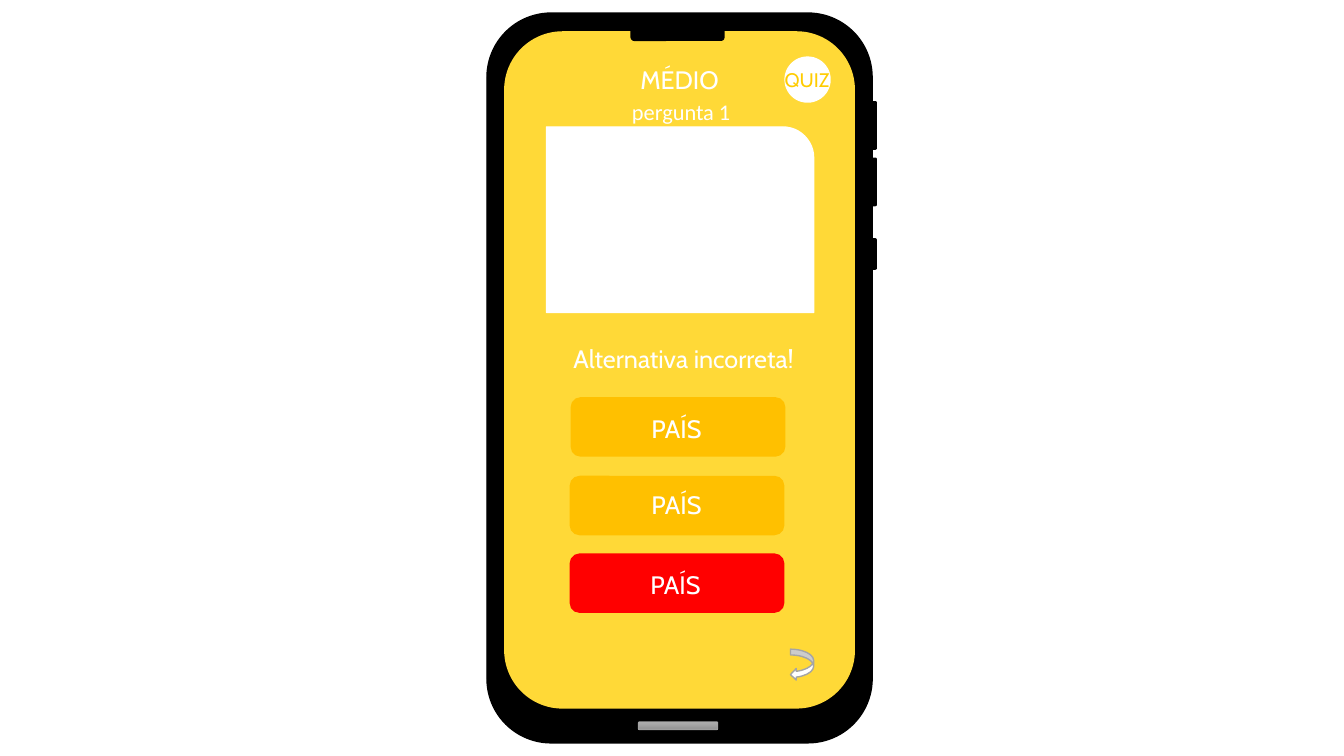
"""Build a quiz app phone screen showing an incorrect answer."""
from pptx import Presentation
from pptx.dml.color import RGBColor
from pptx.enum.shapes import MSO_SHAPE
from pptx.enum.text import MSO_AUTO_SIZE, PP_ALIGN
from pptx.util import Inches, Pt

BLACK = RGBColor(0x00, 0x00, 0x00)
WHITE = RGBColor(0xFF, 0xFF, 0xFF)
YELLOW = RGBColor(0xFF, 0xD9, 0x37)
GOLD = RGBColor(0xFF, 0xCC, 0x00)
AMBER = RGBColor(0xFF, 0xC0, 0x00)
RED = RGBColor(0xFF, 0x00, 0x00)
GRAY = RGBColor(0xA5, 0xA5, 0xA5)
LIGHT_GRAY = RGBColor(0xAF, 0xAF, 0xAF)
DARK_GRAY = RGBColor(0x93, 0x93, 0x93)

prs = Presentation()
prs.slide_width = Inches(13.33)
prs.slide_height = Inches(7.5)
s = prs.slides.add_slide(prs.slide_layouts[6])


def add_box(x, y, w, h, fill, line=None, kind=MSO_SHAPE.ROUNDED_RECTANGLE):
    sp = s.shapes.add_shape(kind, Inches(x), Inches(y), Inches(w), Inches(h))
    sp.shadow.inherit = False
    sp.fill.solid()
    sp.fill.fore_color.rgb = fill
    if line is None:
        sp.line.fill.background()
    else:
        sp.line.color.rgb = line
        sp.line.width = Pt(1)
    return sp


def add_label(x, y, w, h, text, size=18, font="Cabin", color=WHITE, align=PP_ALIGN.CENTER):
    sp = s.shapes.add_textbox(Inches(x), Inches(y), Inches(w), Inches(h))
    tf = sp.text_frame
    tf.word_wrap = True
    tf.auto_size = MSO_AUTO_SIZE.SHAPE_TO_FIT_TEXT
    p = tf.paragraphs[0]
    p.alignment = align
    r = p.add_run()
    r.text = text
    r.font.size = Pt(size)
    r.font.name = font
    r.font.color.rgb = color


add_box(4.83, 0.13, 3.82, 7.24, BLACK, BLACK)
add_box(5, 0.31, 3.48, 6.72, YELLOW)
for y, h in [(1.01, 0.47), (1.57, 0.47), (2.37, 0.3)]:
    add_box(8.64, y, 0.05, h, BLACK, BLACK)
add_box(6.26, 0.22, 0.92, 0.18, BLACK, BLACK)

home_bar = add_box(6.33, 7.16, 0.79, 0.08, GRAY, GRAY)
home_bar.line.width = Pt(0.5)
home_bar.fill.gradient()
home_bar.fill.gradient_angle = 270
for stop, color in zip(home_bar.fill.gradient_stops, [LIGHT_GRAY, DARK_GRAY]):
    stop.color.rgb = color

add_box(7.78, 0.56, 0.46, 0.46, WHITE, kind=MSO_SHAPE.OVAL)
add_label(7.25, 0.62, 1.51, 0.34, "QUIZ", size=14, color=GOLD)

add_label(4.97, 3.36, 3.62, 0.4, "Alternativa incorreta!")
answers = [
    (5.66, 3.94, AMBER, 5.98, 4.05),
    (5.65, 4.72, AMBER, 5.98, 4.81),
    (5.65, 5.49, RED, 5.97, 5.6),
]
for x, y, fill, label_x, label_y in answers:
    add_box(x, y, 2.13, 0.59, fill)
    add_label(label_x, label_y, 1.46, 0.4, "PAÍS")

add_box(5.42, 1.26, 2.65, 1.84, WHITE, WHITE, MSO_SHAPE.ROUND_1_RECTANGLE)
add_label(4.93, 0.59, 3.62, 0.4, "MÉDIO")
add_label(6.17, 0.92, 1.34, 0.37, "pergunta 1", size=16, font="Calibri", align=PP_ALIGN.LEFT)
add_box(7.84, 6.44, 0.23, 0.31, WHITE, GRAY, MSO_SHAPE.CURVED_LEFT_ARROW)

prs.save("out.pptx")
